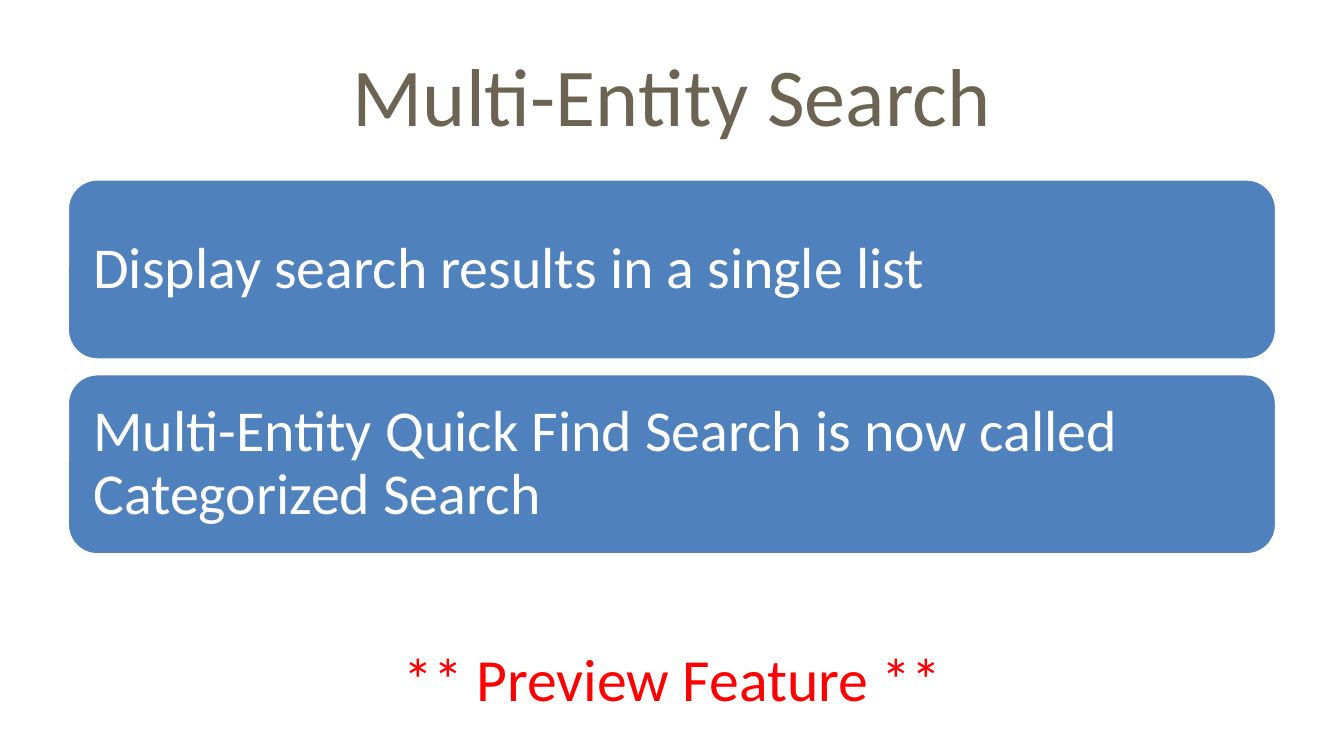
from dataclasses import dataclass

import pptx
import pptx.dml.color
import pptx.enum.shapes
import pptx.enum.text
import pptx.util

Inches = pptx.util.Inches
Pt = pptx.util.Pt
RGBColor = pptx.dml.color.RGBColor
Align = pptx.enum.text.PP_ALIGN
Anchor = pptx.enum.text.MSO_ANCHOR

WHITE = RGBColor(0xFF, 0xFF, 0xFF)
BLUE = RGBColor(0x4F, 0x81, 0xBD)
BROWN = RGBColor(0x6C, 0x63, 0x52)
RED = RGBColor(0xFF, 0x00, 0x00)

LEFT, WIDTH = 0.5, 9
TOP, HEIGHT, PITCH = 1.33, 1.35, 1.45


@dataclass
class Style:
    size: float
    color: RGBColor
    align: Align


@dataclass
class Card:
    text: str
    top: float


HEAD = Style(44, BROWN, Align.CENTER)
BODY = Style(31, WHITE, Align.LEFT)
NOTE = Style(32, RED, Align.CENTER)

POINTS = (
    "Display search results in a single list",
    "Multi-Entity Quick Find Search is now called Categorized Search",
)


def write(frame: pptx.text.text.TextFrame, text: str, style: Style) -> None:
    para = frame.paragraphs[0]
    para.alignment = style.align
    run = para.add_run()
    run.text = text
    run.font.name = "Calibri"
    run.font.size = Pt(style.size)
    run.font.color.rgb = style.color


def draw(slide: pptx.slide.Slide, card: Card) -> None:
    box = slide.shapes.add_shape(
        pptx.enum.shapes.MSO_SHAPE.ROUNDED_RECTANGLE,
        Inches(LEFT), Inches(card.top), Inches(WIDTH), Inches(HEIGHT),
    )
    box.shadow.inherit = False
    box.fill.solid()
    box.fill.fore_color.rgb = BLUE
    box.line.color.rgb = WHITE
    box.line.width = Pt(2)
    frame = box.text_frame
    frame.word_wrap = True
    frame.vertical_anchor = Anchor.MIDDLE
    frame.margin_left = frame.margin_right = Inches(0.13)
    frame.margin_top = frame.margin_bottom = Inches(0.13)
    write(frame, card.text, BODY)
    frame.paragraphs[0].line_spacing = 0.9


def main() -> None:
    deck = pptx.Presentation()
    deck.slide_width = Inches(10)
    deck.slide_height = Inches(10 * 9 / 16)
    slide = deck.slides.add_slide(deck.slide_layouts[5])

    title = slide.shapes.title
    title.left, title.top = Inches(LEFT), Inches(0.23)
    title.width, title.height = Inches(WIDTH), Inches(0.94)
    title.text_frame.vertical_anchor = Anchor.MIDDLE
    write(title.text_frame, "Multi-Entity Search", HEAD)

    for row, text in enumerate(POINTS):
        draw(slide, Card(text, TOP + row * PITCH))

    note = slide.shapes.add_textbox(
        Inches(2.88), Inches(4.73), Inches(4.25), Inches(0.64)
    )
    note.text_frame.word_wrap = False
    note.text_frame.auto_size = pptx.enum.text.MSO_AUTO_SIZE.SHAPE_TO_FIT_TEXT
    write(note.text_frame, "** Preview Feature **", NOTE)

    deck.save("out.pptx")


if __name__ == "__main__":
    main()
